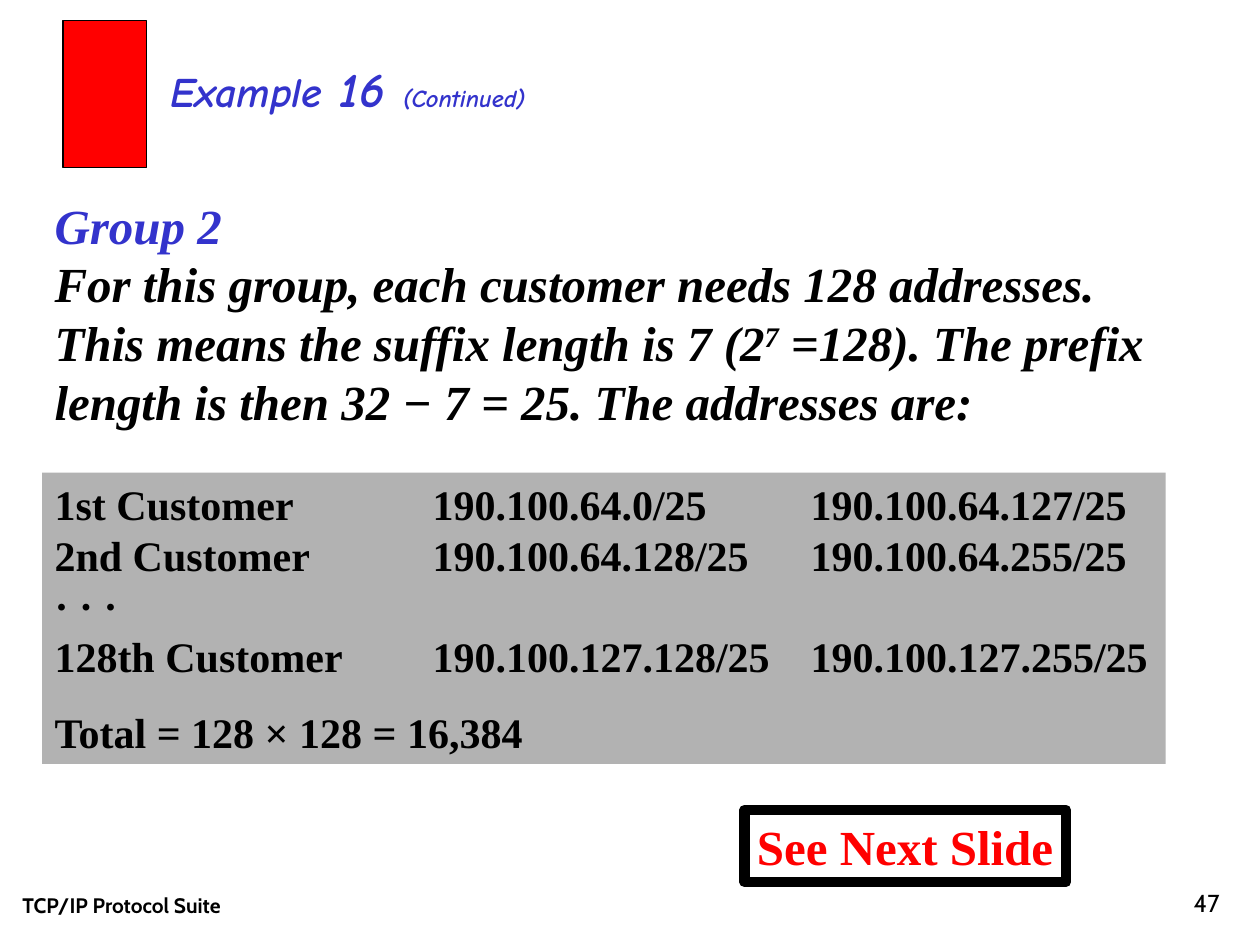
from lxml import etree
from pptx import Presentation
from pptx import util as u
from pptx.dml.color import RGBColor
from pptx.enum import shapes, text
from pptx.oxml import ns

COLORS = {"blue": "3333CC", "black": "000000", "red": "FF0000", "gray": "B2B2B2"}
SERIF, TITLE, FOOT = "Times New Roman", "Comic Neue", "Cabin"


def color(name):
    return RGBColor.from_string(COLORS[name])


def add_box(s, x, y, w, h, fill=None, line=None, width=0.75):
    """Rectangle with optional fill and outline."""
    sp = s.shapes.add_shape(shapes.MSO_SHAPE.RECTANGLE, u.Cm(x), u.Cm(y), u.Cm(w), u.Cm(h))
    sp.shadow.inherit = False
    if fill:
        sp.fill.solid()
        sp.fill.fore_color.rgb = color(fill)
    else:
        sp.fill.background()
    if line:
        sp.line.color.rgb = color(line)
        sp.line.width = u.Pt(width)
    else:
        sp.line.fill.background()
    return sp


def add_text(s, x, y, w, h):
    return s.shapes.add_textbox(u.Cm(x), u.Cm(y), u.Cm(w), u.Cm(h))


def setup(sp, anchor=text.MSO_ANCHOR.TOP, wrap=True):
    tf = sp.text_frame
    tf.word_wrap = wrap
    tf.vertical_anchor = anchor
    return tf


def format_paragraph(p, before=0, align=text.PP_ALIGN.LEFT):
    p.alignment = align
    p.space_before = u.Pt(before)
    return p


def add_run(p, words, size, font=SERIF, ink="black", bold=True, italic=False, raised=False):
    r = p.add_run()
    r.text = words
    r.font.size, r.font.name = u.Pt(size), font
    r.font.bold, r.font.italic = bold, italic
    r.font.color.rgb = color(ink)
    if raised:
        r.font._element.set("baseline", "30000")


def add_tabs(p, stops):
    tabs = etree.SubElement(p._p.get_or_add_pPr(), ns.qn("a:tabLst"))
    for stop in stops:
        etree.SubElement(tabs, ns.qn("a:tab"), pos=str(u.Cm(stop)), algn="l")


def add_heading(s):
    add_box(s, 1.27, 0.42, 1.69, 2.96, fill="red", line="black")
    p = format_paragraph(setup(add_text(s, 3.18, 1.06, 16.72, 1.45)).paragraphs[0])
    for words, size in (("Example", 24), (" 16 ", 28), ("(Continued)", 14)):
        add_run(p, words, size, TITLE, "blue", italic=True)


def add_explanation(s):
    tf = setup(add_text(s, 0.85, 3.81, 22.65, 5))
    p = format_paragraph(tf.paragraphs[0], before=17.5)
    add_run(p, "Group 2", 28, ink="blue", italic=True)
    p.add_line_break()
    for words, raised in (
        ("For this group, each customer needs 128 addresses. "
         "This means the suffix length is 7 (2", False),
        ("7", True),
        (" =128). The prefix length is then 32 − 7 = 25. The addresses are:", False),
    ):
        add_run(p, words, 28, italic=True, raised=raised)


def add_addresses(s):
    rows = (
        ("1st Customer", "190.100.64.0/25", "190.100.64.127/25"),
        ("2nd Customer", "190.100.64.128/25", "190.100.64.255/25"),
        ("· · ·",),
        ("128th Customer", "190.100.127.128/25", "190.100.127.255/25"),
    )
    tf = setup(add_box(s, 0.85, 9.53, 22.65, 5.87, fill="gray"))
    p = format_paragraph(tf.paragraphs[0], before=15)
    add_tabs(p, (7.62, 15.24))
    for i, row in enumerate(rows):
        if i:
            p.add_line_break()
        add_run(p, "\t".join(row), 24)
    total = format_paragraph(tf.add_paragraph(), before=15)
    add_run(total, "Total = 128 × 128 = 16,384", 24)


def add_next_note(s):
    sp = add_box(s, 15.01, 16.33, 6.48, 1.45, line="black", width=6)
    p = format_paragraph(setup(sp, wrap=False).paragraphs[0])
    add_run(p, "See Next Slide", 28, ink="red")


def add_footer(s):
    for words, x, w, size, bold, align in (
        ("TCP/IP Protocol Suite", 0.2, 8.05, 12, True, text.PP_ALIGN.LEFT),
        ("47", 19.56, 5.28, 14, False, text.PP_ALIGN.RIGHT),
    ):
        tf = setup(add_text(s, x, 17.35, w, 1.27), text.MSO_ANCHOR.BOTTOM)
        add_run(format_paragraph(tf.paragraphs[0], align=align), words, size, FOOT, bold=bold)


def main():
    prs = Presentation()
    prs.slide_width, prs.slide_height = u.Cm(25.4), u.Cm(19.05)
    s = prs.slides.add_slide(prs.slide_layouts[6])
    add_heading(s)
    add_explanation(s)
    add_addresses(s)
    add_next_note(s)
    add_footer(s)
    prs.save("out.pptx")


if __name__ == "__main__":
    main()
